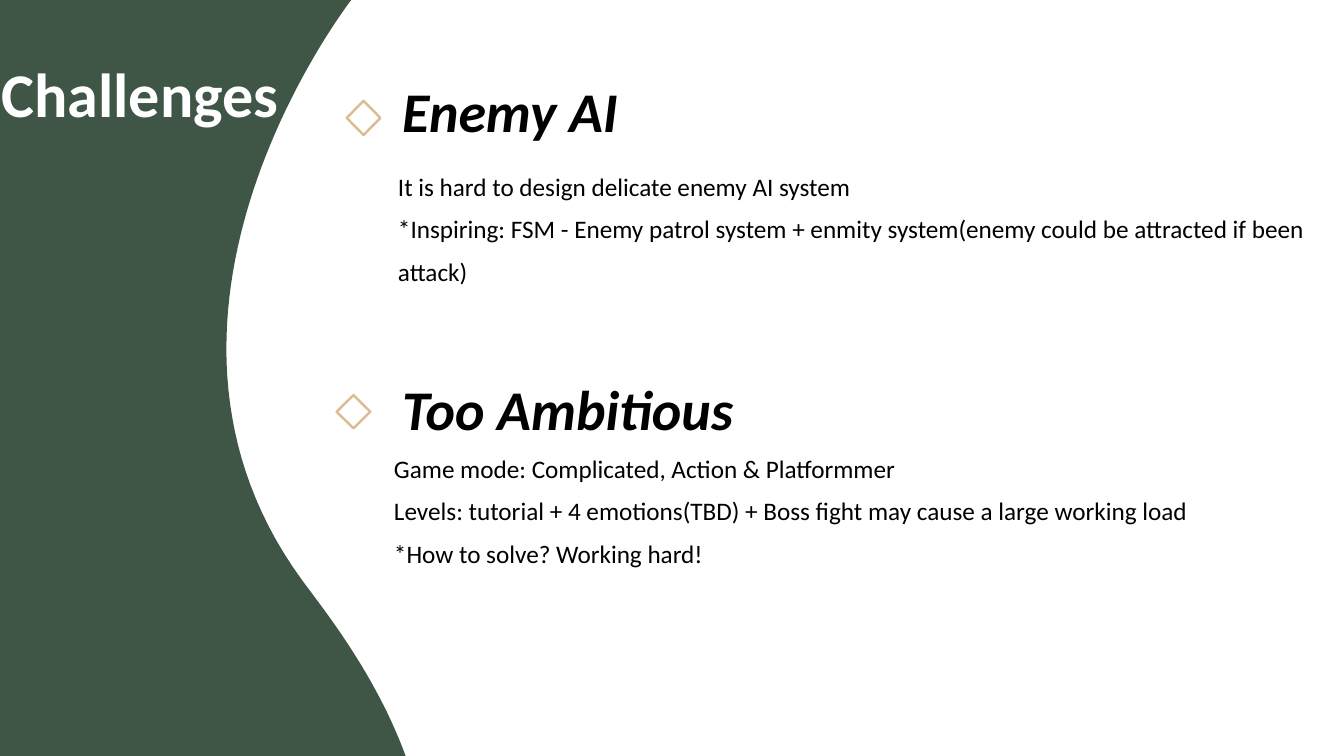
import pptx
import pptx.util
import pptx.dml.color
import pptx.enum.shapes
import pptx.enum.text

COLORS = {"green": "3F5646", "gold": "DEBC93", "white": "FFFFFF", "black": "000000"}
RGB = {name: pptx.dml.color.RGBColor.from_string(code) for name, code in COLORS.items()}
ALIGN = pptx.enum.text.PP_ALIGN
ANCHOR = pptx.enum.text.MSO_ANCHOR

deck = pptx.Presentation()
deck.slide_width = pptx.util.Inches(13.333)
deck.slide_height = pptx.util.Inches(7.5)
COLUMN = deck.slide_width / 40
ROW = deck.slide_height / 30
page = deck.slides.add_slide(deck.slide_layouts[6])


def grid(*lengths):
    return [round(length * (ROW if i % 2 else COLUMN)) for i, length in enumerate(lengths)]


def add_text(shapes, place, lines, size, color="black", bold=False, italic=False,
             anchor=ANCHOR.TOP, align=ALIGN.LEFT, spacing=1.0):
    box = shapes.add_textbox(*grid(*place))
    frame = box.text_frame
    frame.word_wrap = True
    frame.vertical_anchor = anchor
    frame.text = "\n".join(lines)
    for para in frame.paragraphs:
        para.alignment = align
        para.line_spacing = spacing
        for span in para.runs:
            span.font.name = "Calibri"
            span.font.size = pptx.util.Pt(size)
            span.font.bold = bold
            span.font.italic = italic
            span.font.color.rgb = RGB[color]


wave_curves = [
    [(10.5, -0.08), (10.5, -0.08), (3.15, 12.4), (9, 23.04)],
    [(9, 23.04), (10.32, 25.44), (16.62, 35.56), (9, 43.24)],
]
STEPS = 60
wave_points = []
for curve in wave_curves:
    for step in range(1, STEPS + 1):
        t = step / STEPS
        weights = [(1 - t) ** 3, 3 * t * (1 - t) ** 2, 3 * t ** 2 * (1 - t), t ** 3]
        wave_points.append(grid(*(sum(w * point[axis] for w, point in zip(weights, curve))
                                  for axis in (0, 1))))
wave_points += [grid(-0.36, 43.24), grid(-0.39, -0.08)]
builder = page.shapes.build_freeform(*grid(*wave_curves[0][0]))
builder.add_line_segments(wave_points, close=True)
wave = builder.convert_to_shape()
wave.shadow.inherit = False
wave.fill.solid()
wave.fill.fore_color.rgb = RGB["green"]
wave.line.fill.background()

add_text(page.shapes, (-0.6, 2.24, 9.54, 3.12), ["Challenges"], 44.4, "white",
         bold=True, anchor=ANCHOR.BOTTOM, align=ALIGN.CENTER)

sections = [
    ("Enemy AI", (11.67, 4.2, 12.66, 1.72), (10.32, 4, 1, 1.36), (11.55, 6.12, 29.16, 6.56), [
        "It is hard to design delicate enemy AI system",
        "*Inspiring: FSM - Enemy patrol system + enmity system"
        "(enemy could be attracted if been attack)",
    ]),
    ("Too Ambitious", (11.67, 16.08, 12.66, 1.64), (10.02, 15.68, 1, 1.32),
     (11.43, 17.32, 30.81, 7.16), [
        "Game mode: Complicated, Action & Platformmer",
        "Levels: tutorial + 4 emotions(TBD) + Boss fight may cause a large working load",
        "*How to solve? Working hard!",
    ]),
]
for heading, heading_place, diamond_place, body_place, body_lines in sections:
    group = page.shapes.add_group_shape()
    diamond = group.shapes.add_shape(pptx.enum.shapes.MSO_SHAPE.DIAMOND, *grid(*diamond_place))
    diamond.shadow.inherit = False
    diamond.fill.background()
    diamond.line.color.rgb = RGB["gold"]
    diamond.line.width = pptx.util.Pt(1.75)
    add_text(group.shapes, body_place, body_lines, 18, spacing=1.4)
    add_text(group.shapes, heading_place, [heading], 40, bold=True, italic=True,
             anchor=ANCHOR.BOTTOM, spacing=1.2)

deck.save("out.pptx")
